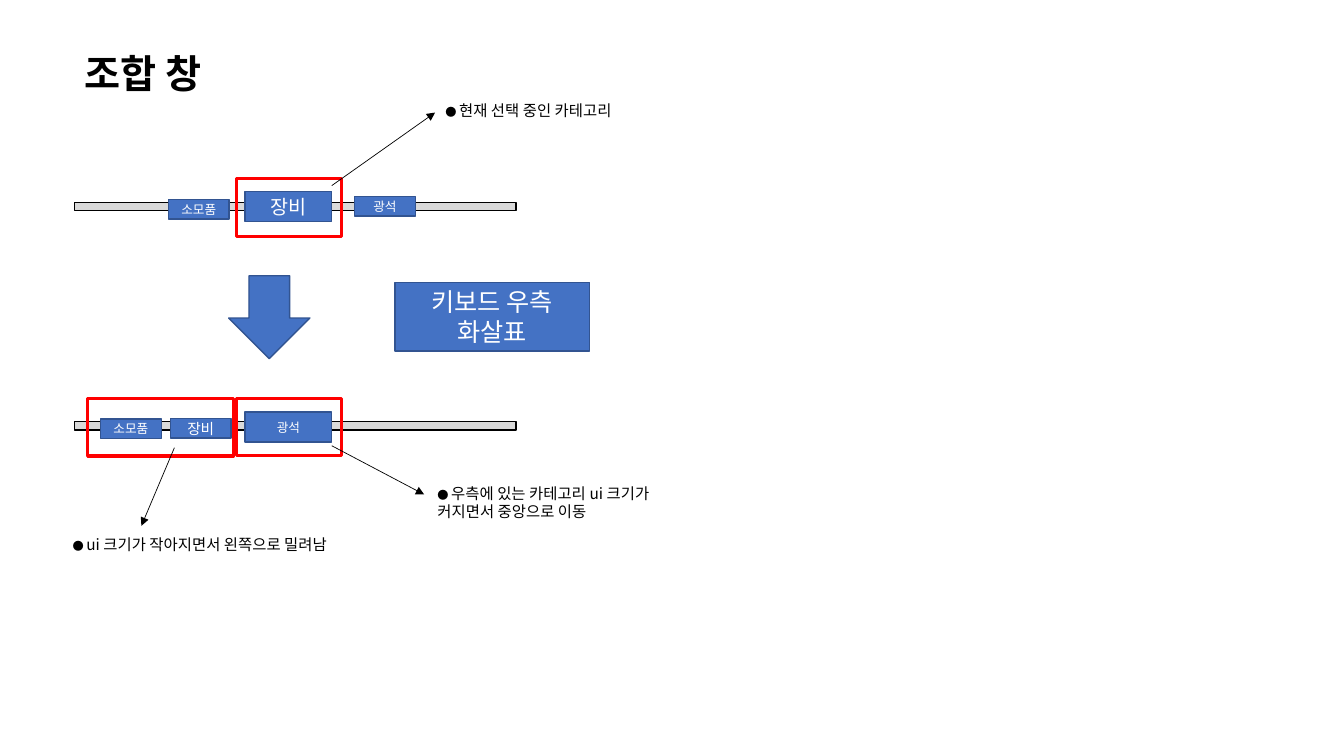
"""Build the slide that explains how the crafting window changes category."""
from dataclasses import dataclass

from lxml.etree import SubElement
from pptx import Presentation
from pptx.dml.color import RGBColor
from pptx.enum.shapes import MSO_CONNECTOR, MSO_SHAPE
from pptx.enum.text import MSO_ANCHOR, MSO_AUTO_SIZE, PP_ALIGN
from pptx.oxml.ns import qn
from pptx.slide import Slide
from pptx.text.text import _Paragraph
from pptx.util import Pt

KOREAN_FONT = "Noto Sans CJK KR"
BLACK, WHITE, RED = "000000", "FFFFFF", "FF0000"
BLUE, DARK_BLUE, GREY = "4472C4", "325491", "D9D9D9"


@dataclass
class Block:
    left: float
    top: float
    width: float
    height: float
    fill: str | None = BLUE
    line: str = DARK_BLUE
    line_width: float = 1
    text: str = ""
    size: float = 9
    preset: MSO_SHAPE = MSO_SHAPE.RECTANGLE


@dataclass
class Arrow:
    start: tuple[float, float]
    end: tuple[float, float]


@dataclass
class Note:
    left: float
    top: float
    width: float
    height: float
    text: str


def bar(top: float) -> Block:
    """Return the grey track behind a row of categories."""
    return Block(53.3, top, 315.4, 6, GREY, BLACK)


def small_chip(left: float, top: float, text: str, size: float = 9) -> Block:
    """Return an unselected category."""
    return Block(left, top, 43.5, 14, text=text, size=size)


def selected_chip(top: float, text: str, size: float) -> Block:
    """Return the enlarged category in the middle."""
    return Block(175, top, 62, 21.6, text=text, size=size)


def frame(left: float, top: float, width: float) -> Block:
    """Return a red outline."""
    return Block(left, top, width, 41.2, None, RED, 2.25)


BLOCKS = [
    bar(144.6),
    selected_chip(136.6, "장비", 14),
    small_chip(120.2, 142.4, "소모품"),
    small_chip(253.2, 140.2, "광석"),
    frame(168.7, 127.6, 75.5),
    Block(163.4, 197, 58, 59.2, preset=MSO_SHAPE.DOWN_ARROW),
    Block(282.2, 201.6, 139, 49.2, text="키보드 우측\n화살표", size=18),
    bar(301.2),
    small_chip(71.7, 299.2, "소모품"),
    frame(168.7, 284.4, 75.5),
    selected_chip(294.2, "광석", 9),
    small_chip(121.6, 299, "장비", 10.5),
    frame(62.6, 284.6, 104.4),
]
ARROWS = [
    Arrow((237, 132.6), (310.8, 80.4)),
    Arrow((237, 318.4), (303, 353.2)),
    Arrow((124.6, 319.8), (101, 375.6)),
]
NOTES = [
    Note(311, 69, 154, 20.6, "현재 선택 중인 카테고리"),
    Note(305.4, 342, 192.2, 33.9, "우측에 있는 카테고리 ui 크기가 커지면서 중앙으로 이동"),
    Note(44.7, 378.8, 224.6, 20.6, "ui 크기가 작아지면서 왼쪽으로 밀려남"),
]


def color(value: str) -> RGBColor:
    """Turn a hex string into a colour."""
    return RGBColor.from_string(value)


def add_span(para: _Paragraph, text: str, shade: str, **formats: object) -> None:
    """Add one formatted run to a paragraph."""
    span = para.add_run()
    span.text = text
    for name, value in ({"name": KOREAN_FONT} | formats).items():
        setattr(span.font, name, value)
    span.font.color.rgb = color(shade)
    east_asian = span.font._element.makeelement(qn("a:ea"), {"typeface": KOREAN_FONT})
    span.font._element.find(qn("a:latin")).addnext(east_asian)


def add_block(page: Slide, block: Block) -> None:
    """Draw a filled or outlined shape with centred text."""
    box = page.shapes.add_shape(
        block.preset, Pt(block.left), Pt(block.top), Pt(block.width), Pt(block.height)
    )
    box.shadow.inherit = False
    if block.fill:
        box.fill.solid()
        box.fill.fore_color.rgb = color(block.fill)
    else:
        box.fill.background()
    box.line.color.rgb = color(block.line)
    box.line.width = Pt(block.line_width)
    if not block.text:
        return
    frame_text = box.text_frame
    frame_text.word_wrap = True
    frame_text.vertical_anchor = MSO_ANCHOR.MIDDLE
    for index, row in enumerate(block.text.split("\n")):
        para = frame_text.add_paragraph() if index else frame_text.paragraphs[0]
        para.alignment = PP_ALIGN.CENTER
        add_span(para, row, WHITE, size=Pt(block.size))


def add_arrow(page: Slide, arrow: Arrow) -> None:
    """Draw a thin line with a triangle at its end."""
    ends = [Pt(value) for value in (*arrow.start, *arrow.end)]
    connector = page.shapes.add_connector(MSO_CONNECTOR.STRAIGHT, *ends)
    connector.line.color.rgb = color(BLACK)
    connector.line.width = Pt(0.5)
    SubElement(connector.line._get_or_add_ln(), qn("a:tailEnd"), type="triangle")
    SubElement(connector._element.spPr, qn("a:effectLst"))


def add_text(page: Slide, left: float, top: float, width: float, height: float) -> _Paragraph:
    """Add a wrapping text box and return its first paragraph."""
    box = page.shapes.add_textbox(Pt(left), Pt(top), Pt(width), Pt(height))
    box.text_frame.word_wrap = True
    box.text_frame.auto_size = MSO_AUTO_SIZE.SHAPE_TO_FIT_TEXT
    return box.text_frame.paragraphs[0]


def add_note(page: Slide, note: Note) -> None:
    """Write a remark after a small dot."""
    para = add_text(page, note.left, note.top, note.width, note.height)
    add_span(para, "● ", BLACK, size=Pt(8))
    add_span(para, note.text, BLACK, size=Pt(11))


def main() -> None:
    """Build and save the deck."""
    deck = Presentation()
    deck.slide_width, deck.slide_height = Pt(960), Pt(540)
    page = deck.slides.add_slide(deck.slide_layouts[6])
    title = add_text(page, 53.3, 31.7, 196.6, 41)
    add_span(title, "조합 창", BLACK, name="Calibri", size=Pt(28), bold=True)
    for block in BLOCKS:
        add_block(page, block)
    for arrow in ARROWS:
        add_arrow(page, arrow)
    for note in NOTES:
        add_note(page, note)
    deck.save("out.pptx")


if __name__ == "__main__":
    main()
